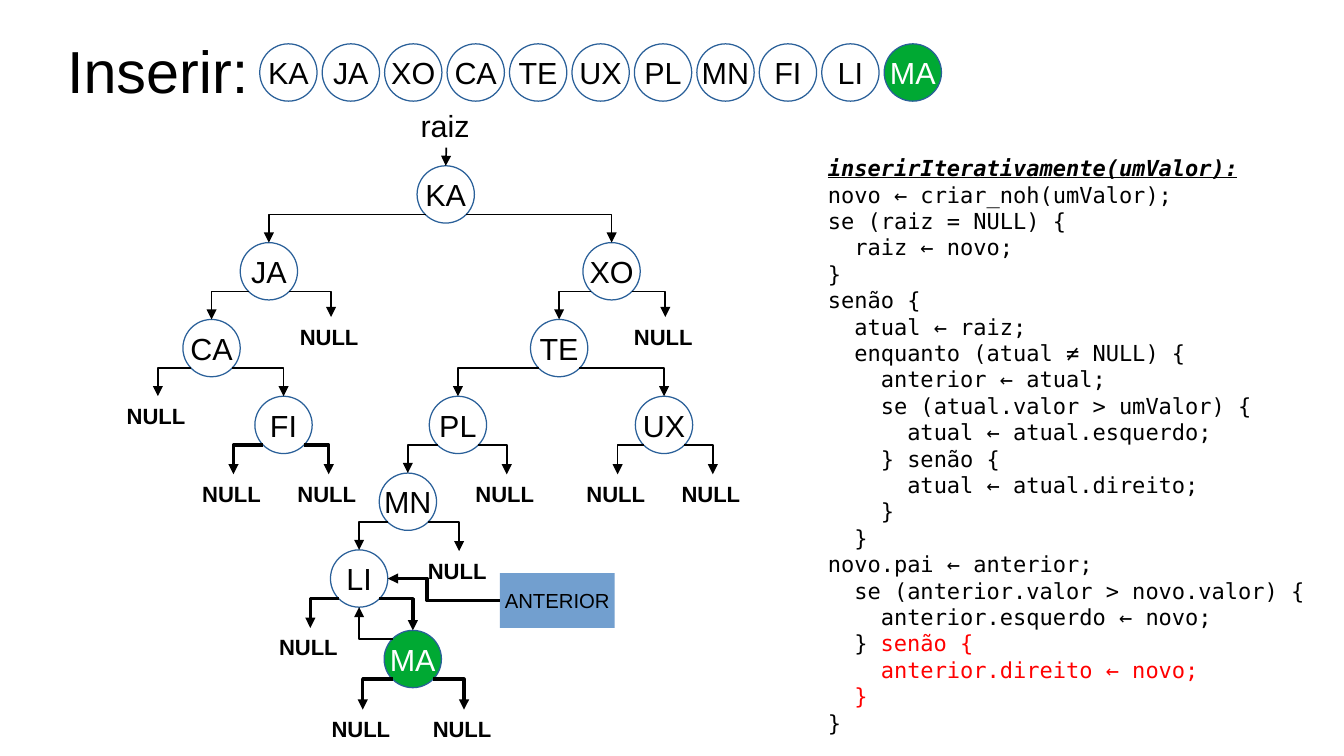
from dataclasses import dataclass

from lxml import etree
from pptx import Presentation
from pptx import util as u
from pptx.dml.color import RGBColor
from pptx.enum import shapes, text
from pptx.oxml.ns import qn


@dataclass(frozen=True)
class Theme:
    sans: str = "Arial"
    mono: str = "DejaVu Sans Mono"
    black: str = "000000"
    white: str = "FFFFFF"
    outline: str = "2A6099"
    new: str = "00A933"
    pointer: str = "729FCF"
    red: str = "FF0000"
    title: int = 35
    node: int = 18
    null: int = 13
    tag: int = 12
    code: int = 13
    code_line: float = 15.6


# Connection sites: ellipses have eight, rectangles four
TOP, TOP_LEFT, BOTTOM_LEFT, BOTTOM, BOTTOM_RIGHT, RIGHT = 0, 1, 3, 4, 5, 6
BOX_TOP, BOX_LEFT, BOX_BOTTOM = 0, 1, 2
DIAMETER = 0.47
DIAGONAL = 0.07  # inset of an ellipse's diagonal sites

VALUES = ["KA", "JA", "XO", "CA", "TE", "UX", "PL", "MN", "FI", "LI", "MA"]
ROW_LEFT, ROW_TOP, ROW_STEP = 2.13, 0.36, 0.512

# name: left, top, left child, right child, line width
# A child is a node name or the left and top of a NULL label.
TREE = {
    "KA": (3.42, 1.36, "JA", "XO", 1),
    "JA": (1.97, 1.99, "CA", (2.36, 2.6), 1),
    "XO": (4.78, 1.99, "TE", (5.1, 2.6), 1),
    "CA": (1.5, 2.62, (0.94, 3.25), "FI", 1),
    "TE": (4.35, 2.62, "PL", "UX", 1),
    "UX": (5.21, 3.25, (4.71, 3.89), (5.49, 3.89), 1),
    "PL": (3.52, 3.25, "MN", (3.8, 3.89), 1),
    "MN": (3.11, 3.88, "LI", (3.41, 4.52), 1),
    "FI": (2.09, 3.25, (1.56, 3.89), (2.34, 3.89), 0),
    "LI": (2.71, 4.51, (2.19, 5.15), "MA", 0),
    "MA": (3.15, 5.17, (2.62, 5.82), (3.45, 5.82), 0),
}

HEADING = "inserirIterativamente(umValor):"
BODY = """novo ← criar_noh(umValor);
se (raiz = NULL) {
  raiz ← novo;
}
senão {
  atual ← raiz;
  enquanto (atual ≠ NULL) {
    anterior ← atual;
    se (atual.valor > umValor) {
      atual ← atual.esquerdo;
    } senão {
      atual ← atual.direito;
    }
  }
novo.pai ← anterior;
  se (anterior.valor > novo.valor) {
    anterior.esquerdo ← novo;"""
T = Theme()
CODE = [[(HEADING, T.black)]]
CODE += [[(line, T.black)] for line in BODY.splitlines()]
CODE += [
    [("  } ", T.black), ("senão {", T.red)],
    [("    anterior.direito ← novo;", T.red)],
    [("  }", T.red)],
    [("}", T.black)],
]


class Deck:
    def __init__(self, theme, width, height):
        self.t = theme
        self.prs = Presentation()
        self.prs.slide_width, self.prs.slide_height = u.Inches(width), u.Inches(height)
        self.s = self.prs.slides.add_slide(self.prs.slide_layouts[6])

    def run(self, p, words, size, color=None, font=None):
        r = p.add_run()
        r.text = words
        r.font.size = u.Pt(size)
        r.font.name = font or self.t.sans
        r.font.color.rgb = RGBColor.from_string(color or self.t.black)
        return r

    def textbox(self, left, top, width, height):
        sp = self.s.shapes.add_textbox(*map(u.Inches, (left, top, width, height)))
        sp.text_frame.word_wrap = True
        return sp

    def label(self, words, size, left, top, width, height, bold=False):
        sp = self.textbox(left, top, width, height)
        self.run(sp.text_frame.paragraphs[0], words, size).font.bold = bold
        return sp

    def title(self, words):
        sp = self.label(words, self.t.title, 0.55, 0.05, 1.55, 1.04)
        tf = sp.text_frame
        tf.margin_left = tf.margin_right = tf.margin_top = tf.margin_bottom = 0
        tf.vertical_anchor = text.MSO_ANCHOR.MIDDLE

    def shape(self, kind, words, size, box, fill, color, outline=None):
        sp = self.s.shapes.add_shape(kind, *map(u.Inches, box))
        sp.shadow.inherit = False
        sp.fill.solid()
        sp.fill.fore_color.rgb = RGBColor.from_string(fill)
        if outline:
            sp.line.color.rgb = RGBColor.from_string(outline)
            sp.line.width = 0
        else:
            sp.line.fill.background()
        tf = sp.text_frame
        tf.word_wrap = False
        tf.vertical_anchor = text.MSO_ANCHOR.MIDDLE
        p = tf.paragraphs[0]
        p.alignment = text.PP_ALIGN.CENTER
        self.run(p, words, size, color)
        return sp

    def node(self, name, left, top):
        is_new = name == VALUES[-1]
        fill, color = (self.t.new, self.t.white) if is_new else (self.t.white, self.t.black)
        return self.shape(shapes.MSO_SHAPE.OVAL, name, self.t.node,
                          (left, top, DIAMETER, DIAMETER), fill, color, self.t.outline)

    def arrow(self, kind, start, end, width):
        cx = self.s.shapes.add_connector(kind, *start, *end)
        cx.line.color.rgb = RGBColor.from_string(self.t.black)
        cx.line.width = u.Pt(width)
        etree.SubElement(cx.line._get_or_add_ln(), qn("a:tailEnd"), type="triangle")
        etree.SubElement(cx._element.spPr, qn("a:effectLst"))
        return cx

    def elbow(self, source, site, start, target, target_site, end, width, bend=None):
        """Arrow with one corner, or two when bend gives the middle part's place."""
        cx = self.arrow(shapes.MSO_CONNECTOR.ELBOW, start, end, width)
        geom = cx._element.spPr.find(qn("a:prstGeom"))
        if bend is None:
            geom.set("prst", "bentConnector2")
        else:
            etree.SubElement(geom.find(qn("a:avLst")), qn("a:gd"),
                             name="adj1", fmla=f"val {round(bend * 100000)}")
        joints = cx._element.nvCxnSpPr.cNvCxnSpPr
        for tag, sp, idx in (("a:stCxn", source, site), ("a:endCxn", target, target_site)):
            etree.SubElement(joints, qn(tag), id=str(sp.shape_id), idx=str(idx))

    def branch(self, parent, child, site, width):
        inset = u.Inches(DIAGONAL)
        x = parent.left + (inset if site == BOTTOM_LEFT else parent.width - inset)
        start = (x, parent.top + parent.height - inset)
        end = (child.left + child.width // 2, child.top)
        self.elbow(parent, site, start, child, TOP, end, width)

    def code(self, lines, left, top, width, height):
        tf = self.textbox(left, top, width, height).text_frame
        for i, parts in enumerate(lines):
            p = tf.paragraphs[0] if i == 0 else tf.add_paragraph()
            p.line_spacing = u.Pt(self.t.code_line)
            for words, color in parts:
                r = self.run(p, words, self.t.code, color, self.t.mono)
                if i == 0:
                    r.font.bold = r.font.italic = r.font.underline = True


def main():
    d = Deck(T, 11.02, 6.2)
    d.title("Inserir:")
    for i, name in enumerate(VALUES):
        d.node(name, ROW_LEFT + i * ROW_STEP, ROW_TOP)

    nodes = {name: d.node(name, left, top) for name, (left, top, *_) in TREE.items()}
    for name, (_, _, left, right, width) in TREE.items():
        for child, site in ((left, BOTTOM_LEFT), (right, BOTTOM_RIGHT)):
            if isinstance(child, str):
                target = nodes[child]
            else:
                target = d.label("NULL", T.null, *child, 0.71, 0.3, bold=True)
            d.branch(nodes[name], target, site, width)

    root = d.label("raiz", T.node, 3.35, 0.83, 0.62, 0.38)
    cx = d.arrow(shapes.MSO_CONNECTOR.STRAIGHT, (0, 0), (0, 0), 1)
    cx.begin_connect(root, BOX_BOTTOM)
    cx.end_connect(nodes["KA"], TOP)

    li, ma = nodes["LI"], nodes["MA"]
    inset = u.Inches(DIAGONAL)
    d.elbow(ma, TOP_LEFT, (ma.left + inset, ma.top + inset),
            li, BOTTOM, (li.left + li.width // 2, li.top + li.height), 1)
    previous = d.shape(shapes.MSO_SHAPE.RECTANGLE, "ANTERIOR", T.tag,
                       (4.1, 4.7, 0.94, 0.45), T.pointer, T.black)
    d.elbow(previous, BOX_LEFT, (previous.left, previous.top + previous.height // 2),
            li, RIGHT, (li.left + li.width, li.top + li.height // 2), 0, bend=0.65)

    d.code(CODE, 6.69, 1.22, 4.3, 4.9)
    d.prs.save("out.pptx")


if __name__ == "__main__":
    main()
